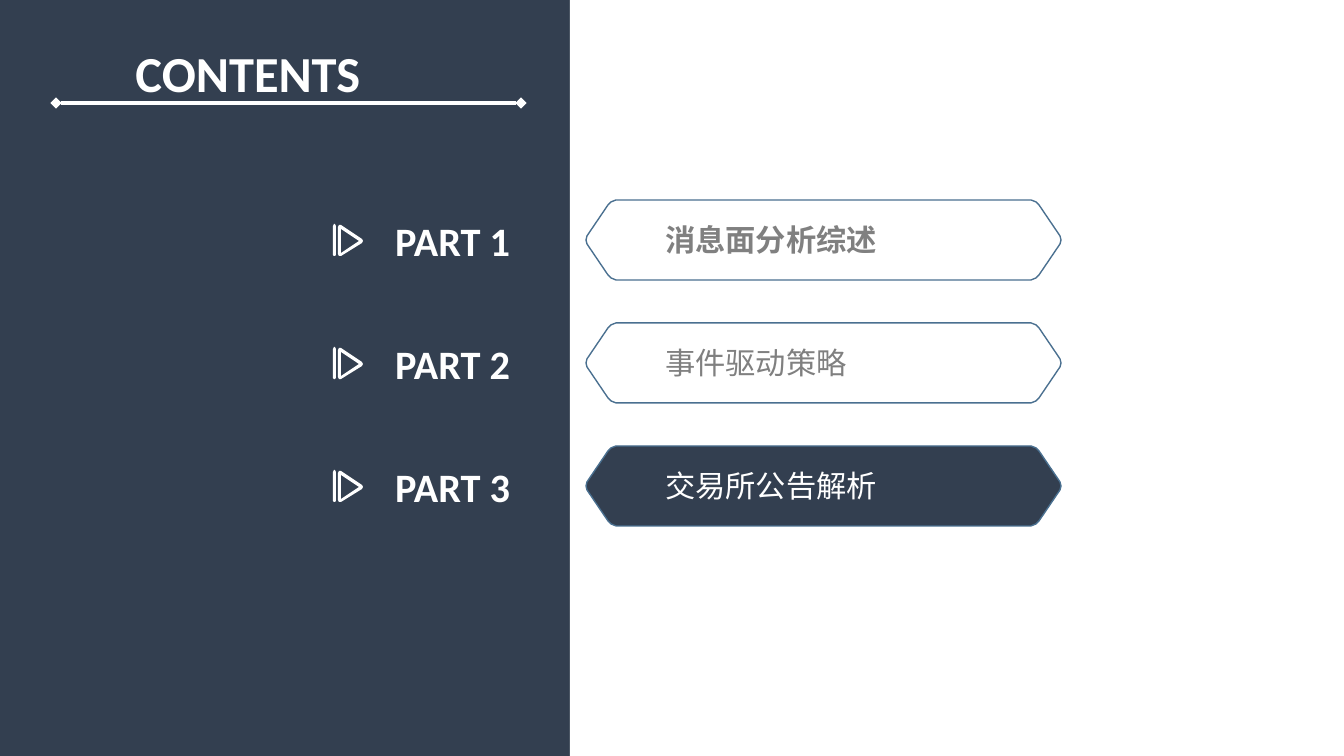
from lxml.etree import SubElement
from pptx import Presentation
from pptx.dml.color import RGBColor
from pptx.enum.shapes import MSO_CONNECTOR, MSO_SHAPE
from pptx.enum.text import MSO_ANCHOR, MSO_AUTO_SIZE, PP_ALIGN
from pptx.oxml.ns import qn
from pptx.util import Emu, Pt

SCALE = 914400 / 134.4
WIDTH, HEIGHT = 1344, 756
NAVY, WHITE, STEEL, GRAY = "333F50", "FFFFFF", "4A7090", "808080"
LATIN, CHINESE = "Calibri", "Noto Sans CJK SC"
ROW_TOP, ROW_STEP, ROW_HEIGHT = 200, 123, 80

# Label, topic, topic box width, topic format, badge fill
PARTS = [
    ("PART 1", "消息面分析综述", 242, {"color": GRAY, "bold": True}, None),
    ("PART 2", "事件驱动策略", 211, {"color": GRAY}, None),
    ("PART 3", "交易所公告解析", 333, {"color": WHITE}, NAVY),
]

# Play icon outlines: triangle, its hole, and the bar on the left
PLAY_ICON = [
    [(5, 3), (5, 30), (6, 32), (8, 32), (29, 19), (30, 17), (29, 15), (8, 1), (6, 1)],
    [(8, 5), (8, 29), (26, 17)],
    [(0, 2), (1, 0), (2, 0), (3, 2), (3, 31), (2, 32), (1, 32), (0, 31)],
]
# Rounded upper left edge of a badge, from its tip to its top side
BADGE_EDGE = [(0, 40), (1, 36), (22, 5), (25, 2), (30, 0)]


def px(length):
    return Emu(round(length * SCALE))


def rgb(value):
    return RGBColor.from_string(value)


def paint(shape, fill=None, line=None):
    shape.shadow.inherit = False
    if fill:
        shape.fill.solid()
        shape.fill.fore_color.rgb = rgb(fill)
    else:
        shape.fill.background()
    if line:
        shape.line.color.rgb = rgb(line)
        shape.line.width = Pt(0.75)
    else:
        shape.line.fill.background()


def write(box, text, size, color=WHITE, font=LATIN, bold=False, wrap=True):
    frame = box.text_frame
    frame.word_wrap = wrap
    frame.auto_size = MSO_AUTO_SIZE.SHAPE_TO_FIT_TEXT
    frame.vertical_anchor = MSO_ANCHOR.TOP
    para = frame.paragraphs[0]
    para.alignment = PP_ALIGN.LEFT
    span = para.add_run()
    span.text = text
    span.font.size, span.font.bold, span.font.name = Pt(size), bold, font
    span.font.color.rgb = rgb(color)
    SubElement(span._r.get_or_add_rPr(), qn("a:ea"), typeface=font)


def add_text(page, left, top, width, height, text, size, **style):
    box = page.shapes.add_textbox(px(left), px(top), px(width), px(height))
    write(box, text, size, **style)


def add_outline(page, left, top, contours, **colors):
    builder = None
    for contour in contours:
        start, *rest = [(left + x, top + y) for x, y in contour]
        if builder is None:
            builder = page.shapes.build_freeform(*start, scale=SCALE)
        else:
            builder.move_to(*start)
        builder.add_line_segments(rest, close=True)
    paint(builder.convert_to_shape(), **colors)


def add_badge(page, left, top, width, height, fill):
    upper = BADGE_EDGE + [(width - x, y) for x, y in reversed(BADGE_EDGE)]
    lower = [(x, height - y) for x, y in reversed(upper[1:-1])]
    add_outline(page, left, top, [upper + lower], fill=fill, line=STEEL)


def add_heading(page, left, top, width):
    title = page.shapes.title
    title.left, title.top = px(left + 66), px(top)
    title.width, title.height = px(496), px(75)
    write(title, "CONTENTS", 27, bold=True)

    # Rule with a diamond at each end
    y = px(top + 68)
    rule = page.shapes.add_connector(
        MSO_CONNECTOR.STRAIGHT, px(left), y, px(left + width), y)
    rule.line.color.rgb = rgb(WHITE)
    rule.line.width = Pt(2)
    line = rule.line._get_or_add_ln()
    for end in ("a:headEnd", "a:tailEnd"):
        SubElement(line, qn(end), type="diamond")
    SubElement(rule._element.spPr, qn("a:effectLst"))


def add_part(page, left, top, height, part):
    label, topic, topic_width, style, fill = part
    add_badge(page, left + 253, top, 475, height, fill)
    add_outline(page, left, top + 24, PLAY_ICON, fill=WHITE)
    add_text(page, left + 49, top + 10, 204, 62, label, 21.6, bold=True)
    add_text(page, left + 319, top + 15, topic_width, 50, topic, 16.2,
             font=CHINESE, wrap=fill is not None, **style)


def main():
    deck = Presentation()
    deck.slide_width, deck.slide_height = px(WIDTH), px(HEIGHT)
    page = deck.slides.add_slide(deck.slide_layouts[5])
    page.background.fill.solid()
    page.background.fill.fore_color.rgb = rgb(NAVY)

    # White right-hand panel
    panel = page.shapes.add_shape(
        MSO_SHAPE.RECTANGLE, px(570), 0, px(WIDTH - 570), px(HEIGHT))
    paint(panel, fill=WHITE)

    add_heading(page, 56, 35, 465)
    for index, part in enumerate(PARTS):
        add_part(page, 333, ROW_TOP + index * ROW_STEP, ROW_HEIGHT, part)
    deck.save("out.pptx")


if __name__ == "__main__":
    main()
